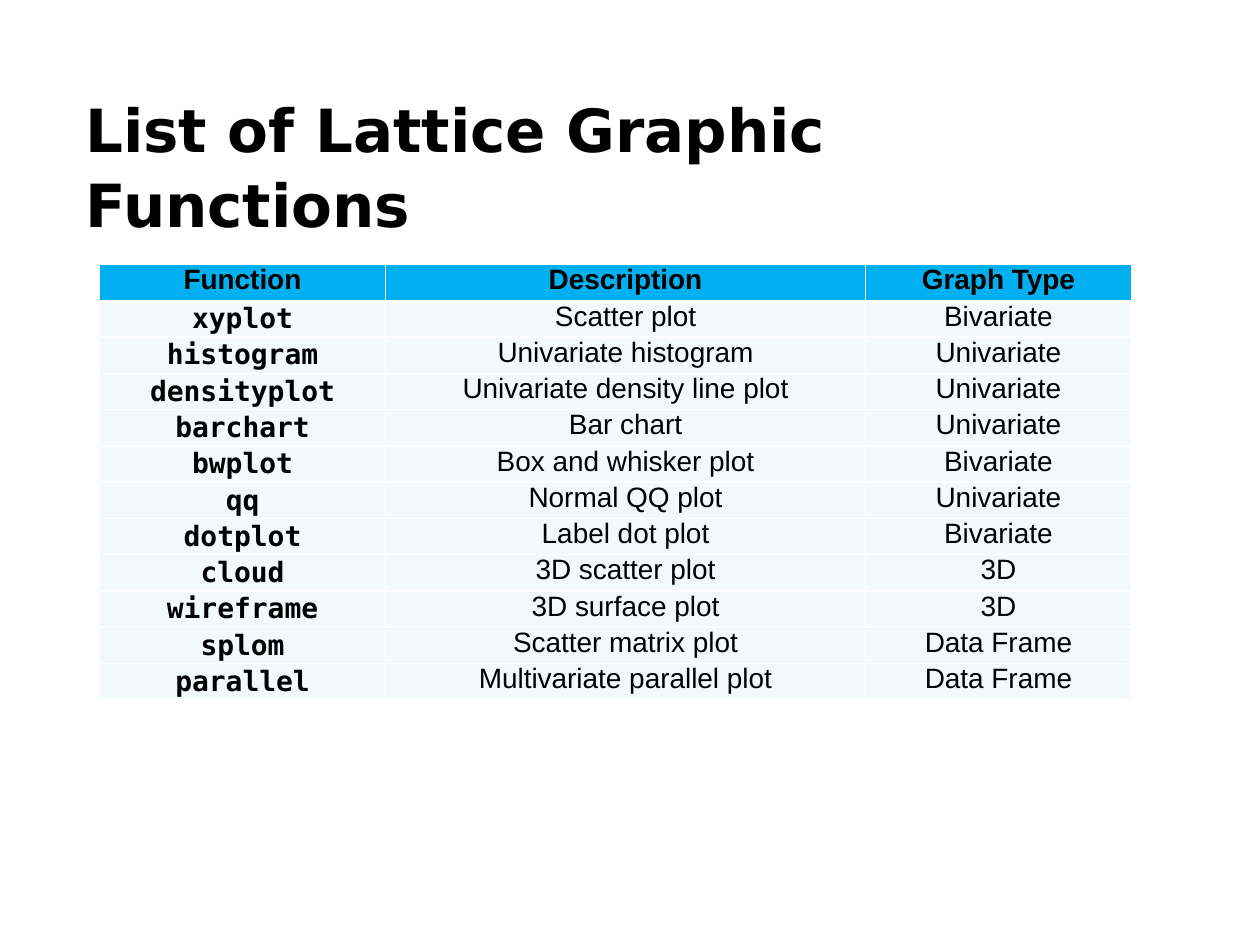
import pptx
import pptx.util
import pptx.dml.color
import pptx.enum.text
import lxml.etree
import pptx.oxml.ns

deck = pptx.Presentation()
deck.slide_width = pptx.util.Inches(10)
deck.slide_height = pptx.util.Inches(7.5)
page = deck.slides.add_slide(deck.slide_layouts[6])
across = deck.slide_width / 100
down = deck.slide_height / 100


def color(value):
    return pptx.dml.color.RGBColor.from_string(value)


def style(font, name, size, bold):
    font.name = name
    font.size = pptx.util.Pt(size)
    font.bold = bold
    font.color.rgb = color("000000")


title = page.shapes.add_textbox(
    int(5.8 * across), int(8.93 * down), int(85 * across), int(10 * down))
title.text_frame.word_wrap = True
title.text_frame.text = "List of Lattice Graphic Functions"
para = title.text_frame.paragraphs[0]
para.line_spacing = 1.04
style(para.runs[0].font, "DejaVu Sans", 34, True)

rows = [
    ("Function", "Description", "Graph Type"),
    ("xyplot", "Scatter plot", "Bivariate"),
    ("histogram", "Univariate histogram", "Univariate"),
    ("densityplot", "Univariate density line plot", "Univariate"),
    ("barchart", "Bar chart", "Univariate"),
    ("bwplot", "Box and whisker plot", "Bivariate"),
    ("qq", "Normal QQ plot", "Univariate"),
    ("dotplot", "Label dot plot", "Bivariate"),
    ("cloud", "3D scatter plot", "3D"),
    ("wireframe", "3D surface plot", "3D"),
    ("splom", "Scatter matrix plot", "Data Frame"),
    ("parallel", "Multivariate parallel plot", "Data Frame"),
]
column_shares = [22.7, 38.1, 21.1]
row_share = 3.84

table = page.shapes.add_table(
    len(rows), len(column_shares), int(7.9 * across), int(28 * down),
    int(sum(column_shares) * across), int(len(rows) * row_share * down)).table
for column, share in zip(table.columns, column_shares):
    column.width = int(share * across)

for row_index, texts in enumerate(rows):
    table.rows[row_index].height = int(row_share * down)
    header = row_index == 0
    for column_index, text in enumerate(texts):
        cell = table.cell(row_index, column_index)
        function_name = column_index == 0 and not header
        cell.margin_left = cell.margin_right = pptx.util.Inches(0.07)
        cell.margin_top = cell.margin_bottom = 0
        cell.vertical_anchor = (
            pptx.enum.text.MSO_ANCHOR.MIDDLE if function_name
            else pptx.enum.text.MSO_ANCHOR.TOP)

        properties = cell._tc.get_or_add_tcPr()
        for side in ("a:lnL", "a:lnR", "a:lnT", "a:lnB"):
            line = lxml.etree.SubElement(
                properties, pptx.oxml.ns.qn(side), w=str(pptx.util.Pt(1)))
            solid = lxml.etree.SubElement(line, pptx.oxml.ns.qn("a:solidFill"))
            lxml.etree.SubElement(solid, pptx.oxml.ns.qn("a:srgbClr"), val="FFFFFF")
        cell.fill.solid()
        cell.fill.fore_color.rgb = color("00B0F0" if header else "F3F9FA")

        cell.text_frame.text = text
        para = cell.text_frame.paragraphs[0]
        para.alignment = pptx.enum.text.PP_ALIGN.CENTER
        para.space_after = pptx.util.Pt(2)
        style(para.runs[0].font, "DejaVu Sans Mono" if function_name else "Arial",
              16, header or function_name)

deck.save("out.pptx")
